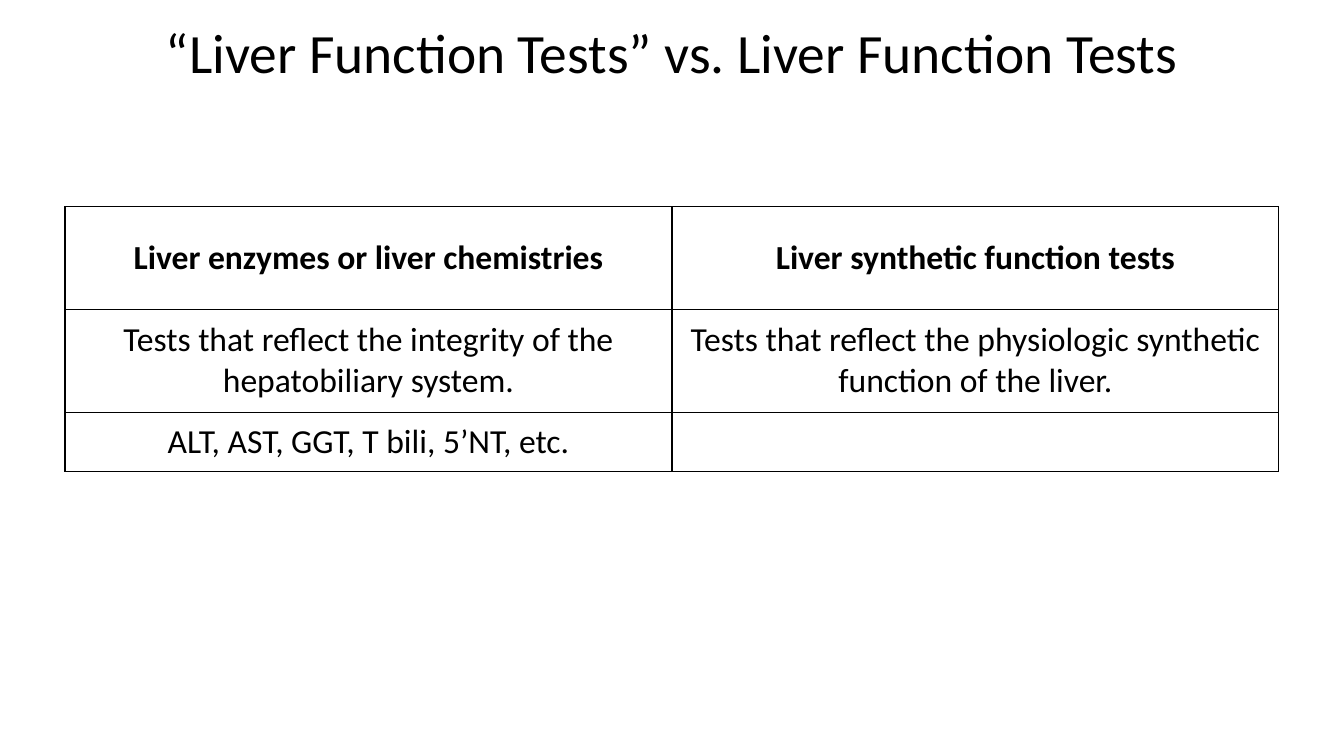
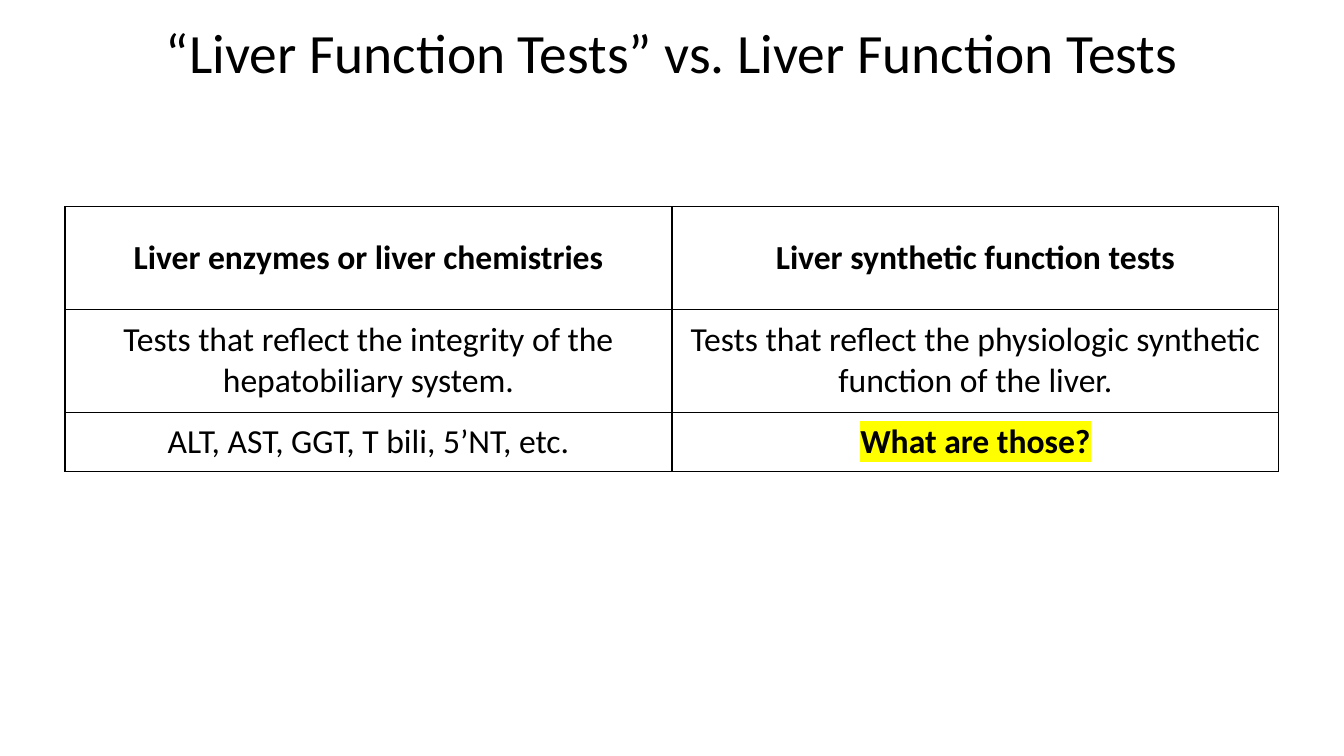
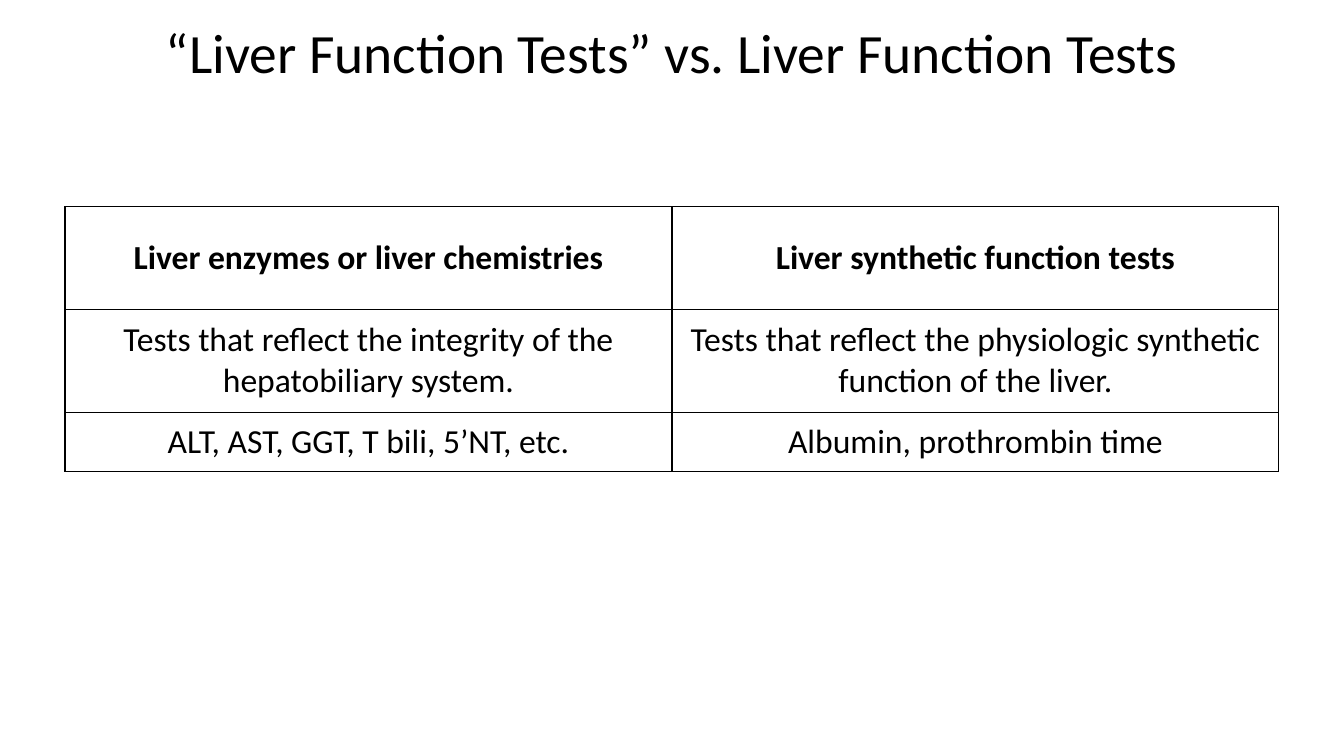
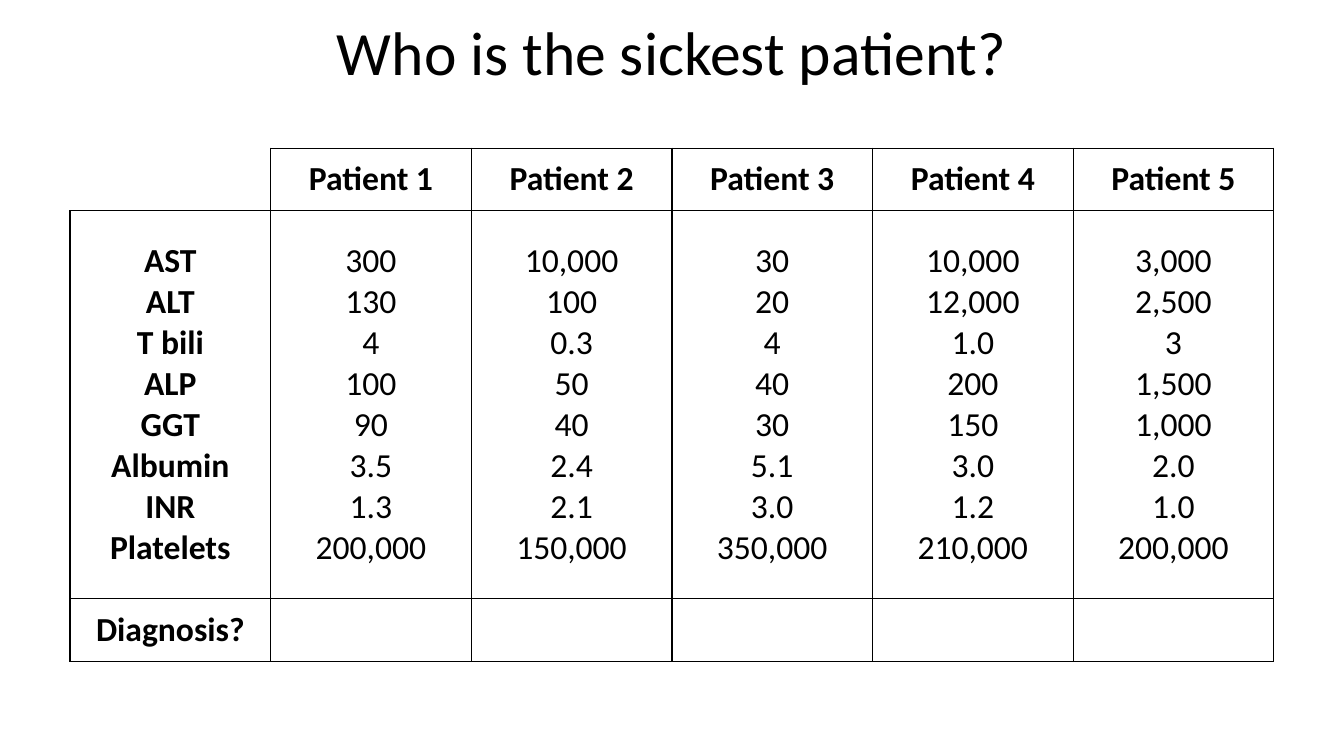
from lxml.etree import SubElement
from pptx import Presentation
from pptx.dml.color import RGBColor
from pptx.enum.text import MSO_ANCHOR as Anchor, MSO_AUTO_SIZE as AutoSize, PP_ALIGN as Align
from pptx.oxml.ns import qn
from pptx.util import Inches, Pt

COLOURS = {"ink": "000000", "highlight": "FFFF00"}
FONT = "Calibri"
WIDTH, HEIGHT = 13.33, 7.5
TITLE_ONLY = 5
OPEN_CORNER = None  # a cell without outer borders


def set_all(target, values):
    for name, value in values.items():
        setattr(target, name, value)


class Deck:
    """Holds the style and the current slide."""

    def __init__(self):
        self.prs = Presentation()
        set_all(self.prs, {"slide_width": Inches(WIDTH), "slide_height": Inches(HEIGHT)})
        self.slide = None

    def add_text(self, paragraph, text, size, bold=False):
        paragraph.alignment = Align.CENTER
        run = paragraph.add_run()
        run.text = text
        set_all(run.font, {"name": FONT, "size": Pt(size), "bold": bold})
        run.font.color.rgb = RGBColor.from_string(COLOURS["ink"])
        return run

    def new_slide(self, heading, size):
        self.slide = self.prs.slides.add_slide(self.prs.slide_layouts[TITLE_ONLY])
        title = self.slide.shapes.title
        width = 11.5
        set_all(title, {"left": Inches((WIDTH - width) / 2), "top": 0,
                        "width": Inches(width), "height": Inches(1.11)})
        set_all(title.text_frame, {"word_wrap": True, "auto_size": AutoSize.NONE,
                                   "vertical_anchor": Anchor.MIDDLE})
        paragraph = title.text_frame.paragraphs[0]
        paragraph.line_spacing = 0.9
        self.add_text(paragraph, heading, size)

    def borders(self, cell, sides):
        """Draw the given sides (of L, R, T, B) and clear the others."""
        props = cell._tc.get_or_add_tcPr()
        for place, side in enumerate("LRTB"):
            line = SubElement(props, qn(f"a:ln{side}"), w=str(Pt(1)))
            if side in sides:
                fill = SubElement(line, qn("a:solidFill"))
                SubElement(fill, qn("a:srgbClr"), val=COLOURS["ink"])
            else:
                SubElement(line, qn("a:noFill"))
            props.insert(place, line)  # lines come before the fill

    def highlight(self, run):
        mark = run._r.rPr.makeelement(qn("a:highlight"), {})
        SubElement(mark, qn("a:srgbClr"), val=COLOURS["highlight"])
        run._r.rPr.find(qn("a:solidFill")).addnext(mark)

    def table(self, rows, top, column_width, row_heights, bold_labels=False, marked=None):
        """Add a centred table; a line break in a cell starts a new paragraph."""
        columns = len(rows[0])
        width = columns * column_width
        table = self.slide.shapes.add_table(
            len(rows), columns, Inches((WIDTH - width) / 2), Inches(top),
            Inches(width), Inches(sum(row_heights))).table
        set_all(table, {"first_row": False, "horz_banding": False})
        for column in table.columns:
            column.width = Inches(column_width)
        for r, (texts, height) in enumerate(zip(rows, row_heights)):
            table.rows[r].height = Inches(height)
            for c, text in enumerate(texts):
                cell = table.cell(r, c)
                cell.vertical_anchor = Anchor.MIDDLE
                cell.fill.background()
                if text is OPEN_CORNER:
                    self.borders(cell, "RB")
                    continue
                self.borders(cell, "LRTB")
                bold = r == 0 or (bold_labels and c == 0) or text == marked
                frame = cell.text_frame
                for i, line in enumerate(text.split("\n") if text else []):
                    paragraph = frame.add_paragraph() if i else frame.paragraphs[0]
                    run = self.add_text(paragraph, line, 24, bold)
                    if text == marked:
                        self.highlight(run)


def main():
    deck = Deck()

    # Enzymes against synthetic function: the last cell is revealed in steps
    question = "What are those?"
    for answer in ("", question, "Albumin, prothrombin time"):
        deck.new_slide("“Liver Function Tests” vs. Liver Function Tests", 39.6)
        deck.table([
            ("Liver enzymes or liver chemistries", "Liver synthetic function tests"),
            ("Tests that reflect the integrity of the hepatobiliary system.",
             "Tests that reflect the physiologic synthetic function of the liver."),
            ("ALT, AST, GGT, T bili, 5’NT, etc.", answer),
        ], 2.05, 6.02, (1.02, 1.02, 0.59), marked=question)

    # Five patients compared
    results = {
        "AST": ("300", "10,000", "30", "10,000", "3,000"),
        "ALT": ("130", "100", "20", "12,000", "2,500"),
        "T bili": ("4", "0.3", "4", "1.0", "3"),
        "ALP": ("100", "50", "40", "200", "1,500"),
        "GGT": ("90", "40", "30", "150", "1,000"),
        "Albumin": ("3.5", "2.4", "5.1", "3.0", "2.0"),
        "INR": ("1.3", "2.1", "3.0", "1.2", "1.0"),
        "Platelets": ("200,000", "150,000", "350,000", "210,000", "200,000"),
    }
    patients = ["\n".join(values) for values in zip(*results.values())]
    deck.new_slide("Who is the sickest patient?", 44)
    deck.table([
        [OPEN_CORNER] + [f"Patient {n}" for n in range(1, len(patients) + 1)],
        ["\n".join(results)] + patients,
        ["Diagnosis?"] + [""] * len(patients),
    ], 1.47, 1.99, (0.62, 3.85, 0.62), bold_labels=True)

    deck.prs.save("out.pptx")


if __name__ == "__main__":
    main()
